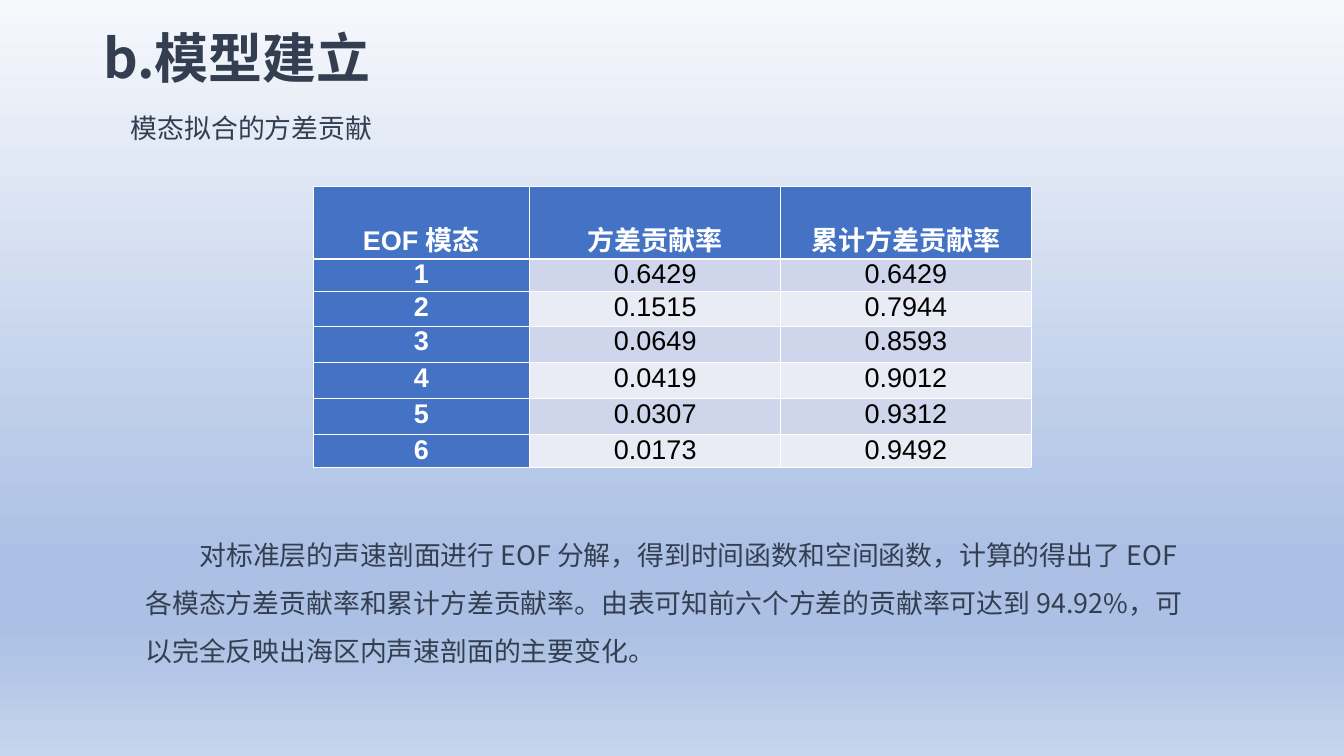
from lxml.etree import SubElement
from pptx import Presentation
from pptx.dml.color import RGBColor
from pptx.enum.text import MSO_ANCHOR as Anchor, PP_ALIGN as Align
from pptx.oxml.ns import qn
from pptx.util import Pt

COLORS = {
    "ink": "333F50", "white": "FFFFFF", "black": "000000",
    "header": "4472C4", "odd_band": "CFD5EA", "even_band": "E9EBF5",
}
BACKGROUND_STOPS = [(0, "F6F8FC"), (74, "ABC0E4"), (83, "ABC0E4"), (100, "C7D5ED")]
CJK_FONT = "Noto Sans CJK SC"

HEADINGS = ["EOF 模态", "方差贡献率", "累计方差贡献率"]
VARIANCES = [
    ("0.6429", "0.6429"), ("0.1515", "0.7944"), ("0.0649", "0.8593"),
    ("0.0419", "0.9012"), ("0.0307", "0.9312"), ("0.0173", "0.9492"),
]
COLUMN_WIDTHS = [288.7, 334.8, 333.4]
ROW_HEIGHTS = [96, 44, 45.5, 49, 48, 48, 43]
BODY = ("对标准层的声速剖面进行 EOF 分解，得到时间函数和空间函数，计算的得出了 EOF "
        "各模态方差贡献率和累计方差贡献率。由表可知前六个方差的贡献率可达到 94.92%，"
        "可以完全反映出海区内声速剖面的主要变化。")


def write_paragraph(paragraph, text, size=36, font=CJK_FONT, color="ink", bold=False,
                    align=Align.LEFT, spacing=None, before=0, margin=0, indent=0):
    properties = paragraph._p.get_or_add_pPr()
    properties.set("marL", str(Pt(margin)))
    properties.set("indent", str(Pt(indent)))
    paragraph.alignment = align
    paragraph.space_before = Pt(before)
    if spacing:
        paragraph.line_spacing = spacing
    run = paragraph.add_run()
    run.text = text
    run.font.size = Pt(size)
    run.font.bold = bold
    run.font.name = font
    run.font.color.rgb = RGBColor.from_string(COLORS[color])
    SubElement(run._r.get_or_add_rPr(), qn("a:ea"), typeface=CJK_FONT)


class SlideBuilder:
    def __init__(self, slide):
        self.slide = slide

    def background(self, stops):
        self.slide.background.fill.gradient()
        gradient = next(self.slide._element.iter(qn("a:gradFill")))
        stop_list = gradient.find(qn("a:gsLst"))
        for stop in list(stop_list):
            stop_list.remove(stop)
        for position, color in stops:
            stop = SubElement(stop_list, qn("a:gs"), pos=str(position * 1000))
            SubElement(stop, qn("a:srgbClr"), val=color)
        gradient.find(qn("a:lin")).set("ang", str(90 * 60000))

    def text(self, left, top, width, height, *paragraphs):
        frame = self.slide.shapes.add_textbox(
            Pt(left), Pt(top), Pt(width), Pt(height)).text_frame
        frame.word_wrap = True
        for index, (text, style) in enumerate(paragraphs):
            paragraph = frame.add_paragraph() if index else frame.paragraphs[0]
            write_paragraph(paragraph, text, **style)

    def table(self, left, top, widths, heights, rows):
        table = self.slide.shapes.add_table(
            len(rows), len(widths), Pt(left), Pt(top),
            Pt(sum(widths)), Pt(sum(heights))).table
        for column, width in zip(table.columns, widths):
            column.width = Pt(width)
        for row, height in zip(table.rows, heights):
            row.height = Pt(height)
        for r, values in enumerate(rows):
            for c, value in enumerate(values):
                self.cell(table.cell(r, c), value, r, c)

    def cell(self, cell, value, row, column):
        is_heading = row == 0 or column == 0
        cell.margin_left = cell.margin_right = Pt(5)
        cell.margin_top = cell.margin_bottom = 0
        cell.vertical_anchor = Anchor.TOP if row else Anchor.BOTTOM
        # The rule between the header and the body is thicker
        borders = {"lnL": 1, "lnR": 1, "lnT": 3 if row == 1 else 1,
                   "lnB": 1 if row else 3}
        for side, width in borders.items():
            line = SubElement(cell._tc.get_or_add_tcPr(), qn(f"a:{side}"), w=str(Pt(width)))
            fill = SubElement(line, qn("a:solidFill"))
            SubElement(fill, qn("a:srgbClr"), val=COLORS["white"])
        band = "odd_band" if row % 2 else "even_band"
        cell.fill.solid()
        cell.fill.fore_color.rgb = RGBColor.from_string(
            COLORS["header" if is_heading else band])
        write_paragraph(cell.text_frame.paragraphs[0], value, font="Arial",
                        color="white" if is_heading else "black",
                        bold=is_heading, align=Align.CENTER)


def main():
    presentation = Presentation()
    presentation.slide_width, presentation.slide_height = Pt(1792), Pt(1008)
    builder = SlideBuilder(presentation.slides.add_slide(presentation.slide_layouts[6]))
    builder.background(BACKGROUND_STOPS)

    # Title and subtitle
    builder.text(130.3, 39, 896, 181,
                 ("b.模型建立", dict(size=72, bold=True, spacing=0.9)),
                 ("模态拟合的方差贡献", dict(size=35.8, spacing=0.9, before=34, margin=37)))

    # Variance contribution of each mode
    rows = [HEADINGS] + [(str(mode), *pair) for mode, pair in enumerate(VARIANCES, 1)]
    builder.table(417.6, 249, COLUMN_WIDTHS, ROW_HEIGHTS, rows)

    # Conclusion
    builder.text(187, 692.6, 1408, 195,
                 (BODY, dict(size=35.8, spacing=1.5, indent=72)))

    presentation.save("out.pptx")


if __name__ == "__main__":
    main()
